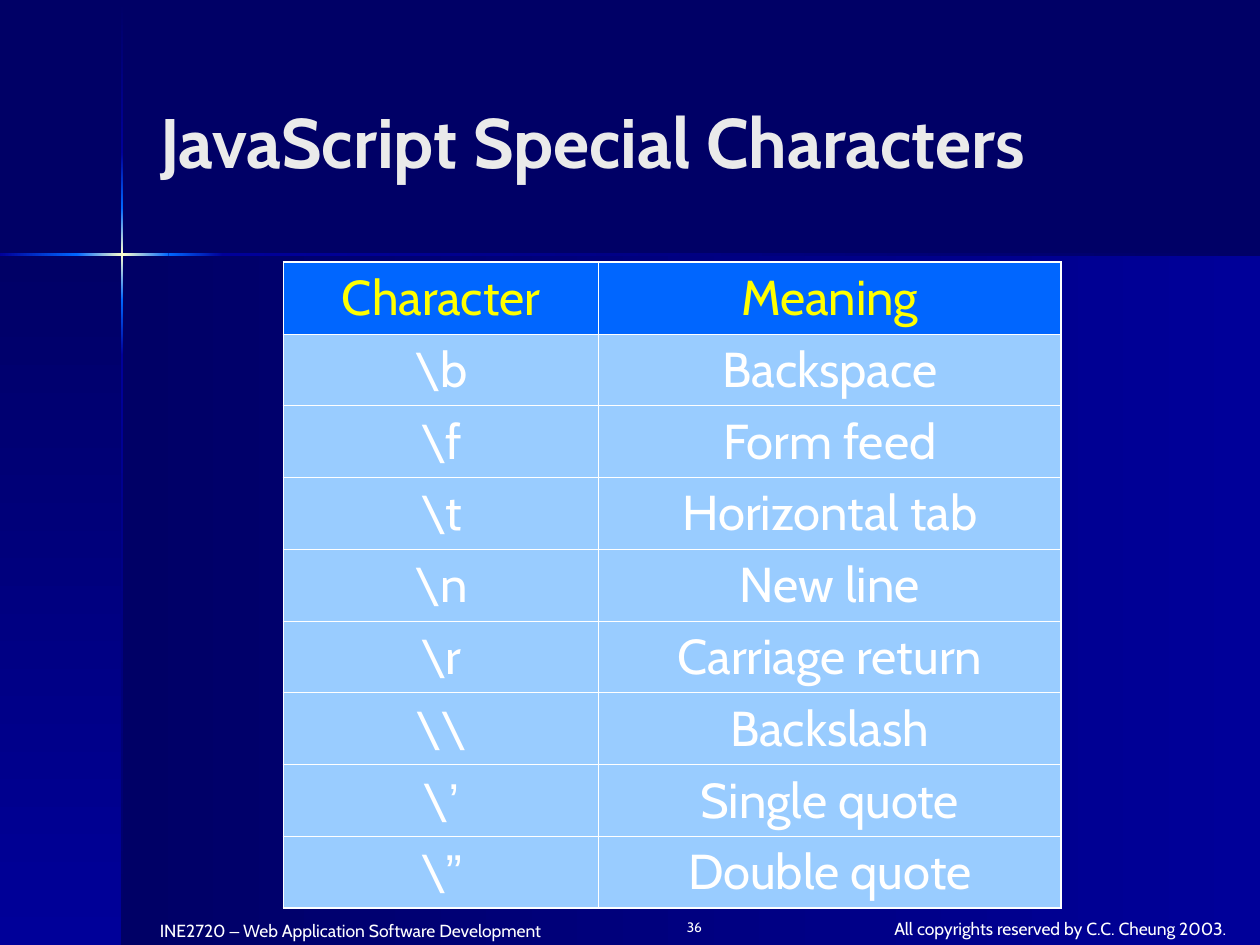
from dataclasses import dataclass
from itertools import groupby

from lxml import etree
from pptx import Presentation
from pptx.dml.color import RGBColor
from pptx.enum.shapes import MSO_SHAPE
from pptx.enum.text import MSO_ANCHOR, MSO_AUTO_SIZE, PP_ALIGN
from pptx.oxml.ns import qn
from pptx.util import Inches, Pt

RECTANGLE = MSO_SHAPE.RECTANGLE
MIDDLE = MSO_ANCHOR.MIDDLE
TOP = MSO_ANCHOR.TOP
NO_AUTOFIT = MSO_AUTO_SIZE.NONE
LEFT, CENTER, RIGHT = PP_ALIGN.LEFT, PP_ALIGN.CENTER, PP_ALIGN.RIGHT


@dataclass(frozen=True)
class Theme:
    navy: str = "000066"
    blue: str = "000099"
    bright: str = "0066FF"
    glow: str = "FFFFCC"
    cell: str = "99CCFF"
    white: str = "FFFFFF"
    heading: str = "FFFF00"
    title: str = "EAEAEA"
    font: str = "Cabin"
    symbol_font: str = "Arial"
    title_size: float = 40
    table_size: float = 28
    footer_size: float = 10
    number_size: float = 7.8
    outer_border: float = 1.08
    inner_border: float = 0.45


THEME = Theme()
HORIZONTAL, VERTICAL = 0, 270

ROWS = [
    ("Character", "Meaning"),
    (r"\b", "Backspace"),
    (r"\f", "Form feed"),
    (r"\t", "Horizontal tab"),
    (r"\n", "New line"),
    (r"\r", "Carriage return"),
    (r"\\", "Backslash"),
    (r"\’", "Single quote"),
    (r"\”", "Double quote"),
]
COLUMN_WIDTHS = (2.5, 3.67)
ROW_HEIGHT = 0.57


def write(frame, text, size, color, align=LEFT, bold=False):
    """Fill the first paragraph, with symbols beyond ASCII in their own font."""
    paragraph = frame.paragraphs[0]
    paragraph.alignment = align
    for plain, letters in groupby(text, str.isascii):
        run = paragraph.add_run()
        run.text = "".join(letters)
        run.font.name = THEME.font if plain else THEME.symbol_font
        run.font.size = Pt(size)
        run.font.bold = bold
        run.font.color.rgb = RGBColor.from_string(color)


def add_gradient_band(slide, box, colors, direction):
    """Add a borderless rectangle with evenly spaced gradient colours."""
    band = slide.shapes.add_shape(RECTANGLE, *map(Inches, box))
    band.shadow.inherit = False
    band.line.fill.background()
    band.fill.gradient()
    band.fill.gradient_angle = direction
    stops = band._element.spPr.find(qn("a:gradFill")).find(qn("a:gsLst"))
    for stop in list(stops):
        stops.remove(stop)
    for index, color in enumerate(colors):
        position = 100000 * index // (len(colors) - 1)
        stop = etree.SubElement(stops, qn("a:gs"), pos=str(position))
        etree.SubElement(stop, qn("a:srgbClr"), val=color)


def add_backdrop(slide):
    slide.background.fill.solid()
    slide.background.fill.fore_color.rgb = RGBColor.from_string(THEME.navy)

    panel = (THEME.navy, THEME.blue)
    add_gradient_band(slide, (0.97, 2.02, 9.03, 5.48), panel, HORIZONTAL)
    add_gradient_band(slide, (0, 2.02, 0.97, 5.48), panel, VERTICAL)

    fade_in = (THEME.blue, THEME.bright)
    flare = (THEME.bright, THEME.glow, THEME.bright)
    fade_out = fade_in[::-1]
    upright = [
        (0.01, 1.21, panel),
        (1.21, 1.65, fade_in),
        (1.65, 2.38, flare),
        (2.38, 2.82, fade_out),
        (2.82, 7.5, panel[::-1]),
    ]
    for start, end, colors in upright:
        add_gradient_band(slide, (0.96, start, 0.02, end - start), colors, VERTICAL)
    crossbar = [
        (0, 0.61, fade_in),
        (0.61, 1.34, flare),
        (1.34, 1.77, fade_out),
        (1.77, 10, panel[::-1]),
    ]
    for start, end, colors in crossbar:
        add_gradient_band(slide, (start, 2.01, end - start, 0.02), colors, HORIZONTAL)


def place_title(slide, text):
    title = slide.shapes.title
    title.left, title.top, title.width, title.height = map(
        Inches, (1.17, 0.33, 8.56, 1.57))
    frame = title.text_frame
    frame.word_wrap = True
    frame.auto_size = NO_AUTOFIT
    frame.vertical_anchor = MIDDLE
    write(frame, text, THEME.title_size, THEME.title, bold=True)


def add_footer(slide, box, text, size, align):
    frame = slide.shapes.add_textbox(*map(Inches, box)).text_frame
    frame.word_wrap = True
    write(frame, text, size, THEME.white, align)


def set_borders(cell, outer_sides):
    properties = cell._tc.get_or_add_tcPr()
    for side, outer in zip("LRTB", outer_sides):
        width = Pt(THEME.outer_border if outer else THEME.inner_border)
        line = etree.SubElement(properties, qn(f"a:ln{side}"), w=str(int(width)))
        fill = etree.SubElement(line, qn("a:solidFill"))
        etree.SubElement(fill, qn("a:srgbClr"), val=THEME.white)


def add_character_table(slide):
    last_row, last_column = len(ROWS) - 1, len(COLUMN_WIDTHS) - 1
    table = slide.shapes.add_table(
        len(ROWS), len(COLUMN_WIDTHS), Inches(2.25), Inches(2.08),
        Inches(sum(COLUMN_WIDTHS)), Inches(ROW_HEIGHT * len(ROWS))).table
    table.horz_banding = False
    for column, width in zip(table.columns, COLUMN_WIDTHS):
        column.width = Inches(width)
    for r, texts in enumerate(ROWS):
        table.rows[r].height = Inches(ROW_HEIGHT)
        fill = THEME.cell if r else THEME.bright
        color = THEME.white if r else THEME.heading
        for c, text in enumerate(texts):
            cell = table.cell(r, c)
            set_borders(cell, (c == 0, c == last_column, r == 0, r == last_row))
            cell.fill.solid()
            cell.fill.fore_color.rgb = RGBColor.from_string(fill)
            cell.vertical_anchor = TOP
            write(cell.text_frame, text, THEME.table_size, color, CENTER)


def main():
    deck = Presentation()
    deck.slide_width, deck.slide_height = Inches(10), Inches(7.5)
    title_only = deck.slide_layouts[5]
    slide = deck.slides.add_slide(title_only)

    add_backdrop(slide)
    add_footer(slide, (1.17, 7.25, 3.33, 0.25),
               "INE2720 – Web Application Software Development",
               THEME.footer_size, LEFT)
    add_footer(slide, (6.83, 7.24, 3.17, 0.26),
               "All copyrights reserved by C.C. Cheung 2003.",
               THEME.footer_size, CENTER)
    add_footer(slide, (5, 7.24, 0.67, 0.26), "36", THEME.number_size, RIGHT)
    place_title(slide, "JavaScript Special Characters")
    add_character_table(slide)

    deck.save("out.pptx")


if __name__ == "__main__":
    main()
